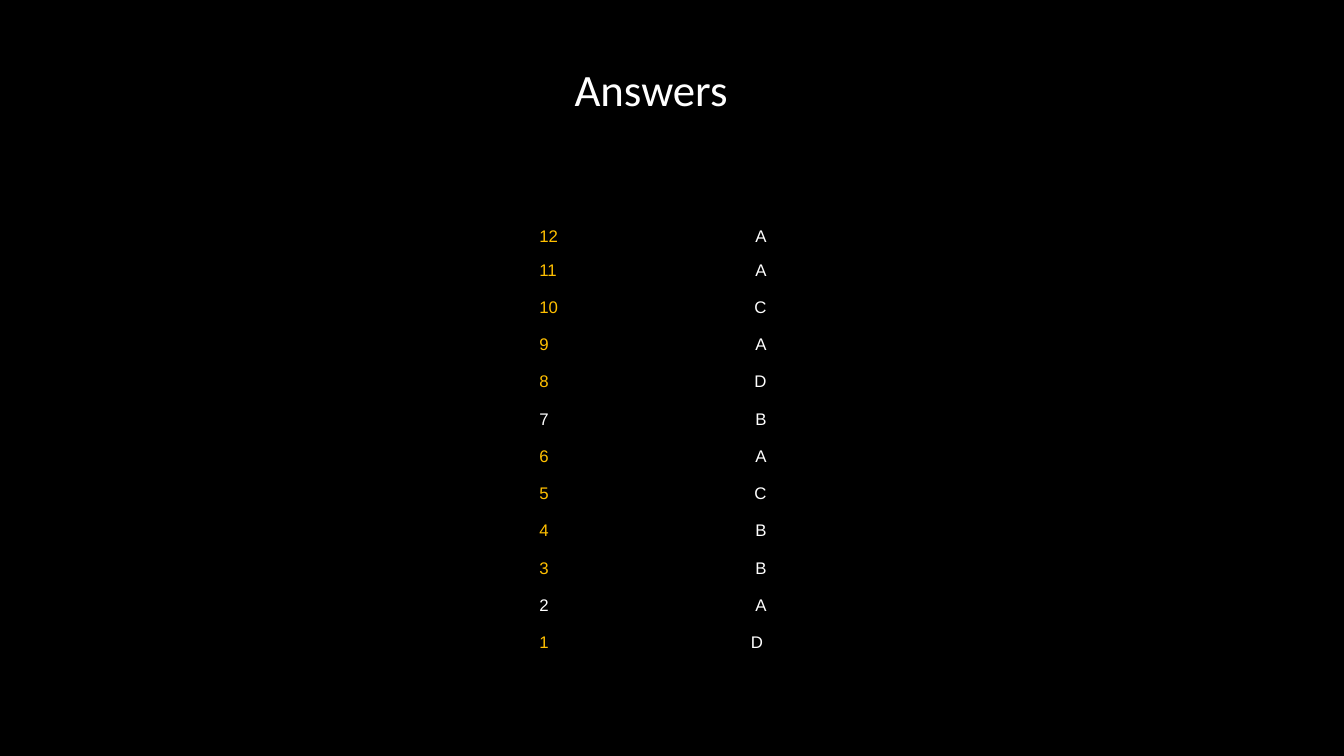
"""Build the slide that lists the quiz answers from 12 down to 1."""
import pptx
import pptx.dml.color
import pptx.enum.shapes
import pptx.enum.text
import pptx.oxml.ns
import pptx.util

Pt = pptx.util.Pt
RGBColor = pptx.dml.color.RGBColor
PP_ALIGN = pptx.enum.text.PP_ALIGN
MSO_ANCHOR = pptx.enum.text.MSO_ANCHOR

TITLE = "Answers"
ANSWERS = [
    ("12", "A"), ("11", "A"), ("10", "C"), ("9", "A"), ("8", "D"), ("7", "B"),
    ("6", "A"), ("5", "C"), ("4", "B"), ("3", "B"), ("2", "A"), ("1", "D"),
]
WHITE_NUMBERS = {"7", "2"}

BLACK = RGBColor(0x00, 0x00, 0x00)
WHITE = RGBColor(0xFF, 0xFF, 0xFF)
AMBER = RGBColor(0xFF, 0xC0, 0x00)

SLIDE_WIDTH, SLIDE_HEIGHT = 960, 540
NO_STYLE_NO_GRID = "{2D5ABB26-0587-4C30-8999-92F81FD0307C}"
TABLE_LEFT, TABLE_TOP = 382.3, 162
COLUMN_WIDTHS = (55.4, 109.8)
ROW_HEIGHT, END_ROW_HEIGHT = 26.6, 24.4
NUMBER_INSET = 2.9
LAST_ANSWER_INSET = 2.5


def add_backdrop(slide):
    backdrop = slide.shapes.add_shape(
        pptx.enum.shapes.MSO_SHAPE.RECTANGLE, 0, 0,
        Pt(SLIDE_WIDTH), Pt(SLIDE_HEIGHT))
    backdrop.shadow.inherit = False
    backdrop.fill.solid()
    backdrop.fill.fore_color.rgb = BLACK
    backdrop.line.fill.background()
    slide.shapes.title._element.addprevious(backdrop._element)


def add_title(slide):
    title = slide.shapes.title
    title.left, title.top = Pt(357.1), Pt(12.2)
    title.width, title.height = Pt(216), Pt(102.2)
    frame = title.text_frame
    frame.text = TITLE
    frame.word_wrap = True
    frame.vertical_anchor = MSO_ANCHOR.MIDDLE
    paragraph = frame.paragraphs[0]
    paragraph.alignment = PP_ALIGN.CENTER
    paragraph.font.name = "Calibri"
    paragraph.font.size = Pt(32)
    paragraph.font.color.rgb = WHITE


def fill_cell(cell, text, color, alignment, left=0, right=0):
    cell.margin_left, cell.margin_right = Pt(left), Pt(right)
    cell.margin_top = cell.margin_bottom = 0
    cell.vertical_anchor = MSO_ANCHOR.TOP
    cell.fill.solid()
    cell.fill.fore_color.rgb = BLACK
    cell.text = text
    paragraph = cell.text_frame.paragraphs[0]
    paragraph.alignment = alignment
    paragraph.font.name = "Arial"
    paragraph.font.size = Pt(12)
    paragraph.font.color.rgb = color


def add_answer_table(slide):
    last = len(ANSWERS) - 1
    heights = [END_ROW_HEIGHT if index in (0, last) else ROW_HEIGHT
               for index in range(len(ANSWERS))]
    table = slide.shapes.add_table(
        len(ANSWERS), len(COLUMN_WIDTHS), Pt(TABLE_LEFT), Pt(TABLE_TOP),
        Pt(sum(COLUMN_WIDTHS)), Pt(sum(heights))).table
    table.first_row = table.horz_banding = False
    style = table._tbl.tblPr.find(pptx.oxml.ns.qn("a:tableStyleId"))
    style.text = NO_STYLE_NO_GRID
    for column, width in zip(table.columns, COLUMN_WIDTHS):
        column.width = Pt(width)
    for index, (number, answer) in enumerate(ANSWERS):
        table.rows[index].height = Pt(heights[index])
        number_color = WHITE if number in WHITE_NUMBERS else AMBER
        fill_cell(table.cell(index, 0), number, number_color, PP_ALIGN.LEFT,
                  left=NUMBER_INSET)
        fill_cell(table.cell(index, 1), answer, WHITE, PP_ALIGN.RIGHT,
                  right=LAST_ANSWER_INSET if index == last else 0)
        if index == last:
            for cell in table.rows[index].cells:
                cell.fill.background()


def main():
    presentation = pptx.Presentation()
    presentation.slide_width = Pt(SLIDE_WIDTH)
    presentation.slide_height = Pt(SLIDE_HEIGHT)
    slide = presentation.slides.add_slide(presentation.slide_layouts[5])
    add_backdrop(slide)
    add_title(slide)
    add_answer_table(slide)
    presentation.save("out.pptx")


if __name__ == "__main__":
    main()
